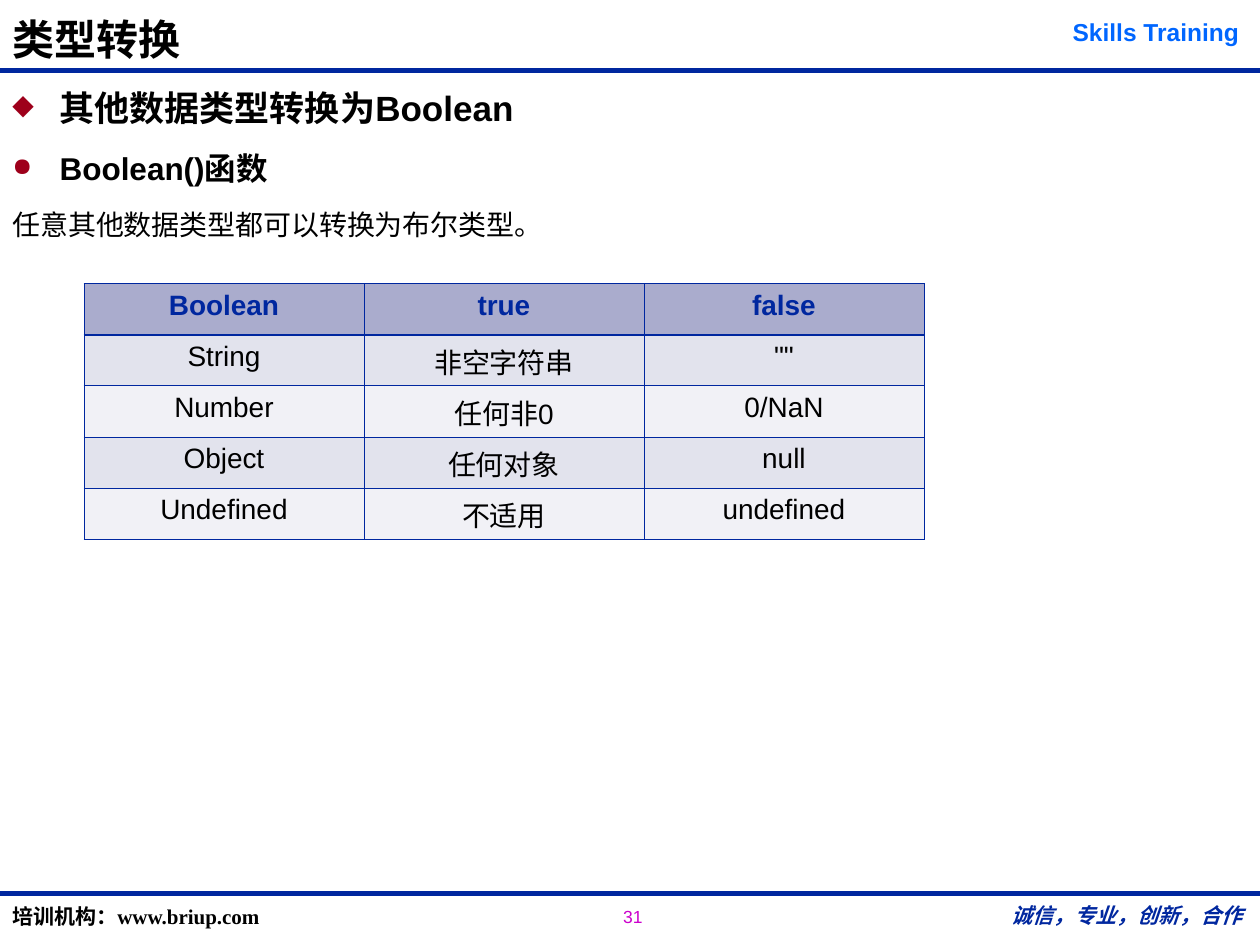
from lxml import etree
from pptx import Presentation
from pptx.dml.color import RGBColor
from pptx.enum.shapes import MSO_CONNECTOR
from pptx.enum.text import MSO_ANCHOR as ANCHOR, PP_ALIGN as ALIGN
from pptx.oxml.ns import qn
from pptx.util import Pt

NAVY = RGBColor(0x00, 0x27, 0x9F)
SKY = RGBColor(0x00, 0x66, 0xFF)
MAGENTA = RGBColor(0xCC, 0x00, 0xCC)
CRIMSON = RGBColor(0x9E, 0x00, 0x1B)
BLACK = RGBColor(0x00, 0x00, 0x00)
HEADER_FILL = RGBColor(0xAA, 0xAC, 0xCD)
BAND_FILLS = (RGBColor(0xE2, 0xE3, 0xED), RGBColor(0xF1, 0xF1, 0xF6))

LATIN, SERIF, CJK = "Arial", "Times New Roman", "Noto Sans CJK SC"
WIDTH, HEIGHT = 720, 540

BULLETS = [  # text, size, bold, bullet
    ("其他数据类型转换为Boolean", 20, True, "◆"),
    ("Boolean()函数", 18, True, "●"),
    ("任意其他数据类型都可以转换为布尔类型。", 16, False, None),
]
ROWS = [
    ("Boolean", "true", "false"),
    ("String", "非空字符串", '""'),
    ("Number", "任何非0", "0/NaN"),
    ("Object", "任何对象", "null"),
    ("Undefined", "不适用", "undefined"),
]


def style(p, size, color=BLACK, bold=False, italic=False, font=LATIN):
    for r in p.runs:
        f = r.font
        f.size, f.bold, f.italic, f.name = Pt(size), bold, italic, font
        f.color.rgb = color
        ea = etree.SubElement(r._r.get_or_add_rPr(), qn("a:ea"))
        ea.set("typeface", CJK)


def add_box(s, box, anchor=ANCHOR.TOP, wrap=True):
    tf = s.shapes.add_textbox(*map(Pt, box)).text_frame
    tf.word_wrap, tf.vertical_anchor = wrap, anchor
    return tf


def add_label(s, box, text, size, align=ALIGN.LEFT, anchor=ANCHOR.TOP,
              wrap=True, **look):
    p = add_box(s, box, anchor, wrap).paragraphs[0]
    p.text, p.alignment = text, align
    style(p, size, **look)
    return p


def add_rule(s, y):
    line = s.shapes.add_connector(MSO_CONNECTOR.STRAIGHT, 0, Pt(y), Pt(WIDTH), Pt(y))
    line.line.color.rgb, line.line.width = NAVY, Pt(2.75)
    etree.SubElement(line._element.spPr, qn("a:effectLst"))


def add_bullet(p, char):
    pPr = p._p.get_or_add_pPr()
    pPr.set("marL", str(Pt(27)))
    pPr.set("indent", str(Pt(-27)))
    if not char:
        etree.SubElement(pPr, qn("a:buNone"))
        return
    clr = etree.SubElement(pPr, qn("a:buClr"))
    etree.SubElement(clr, qn("a:srgbClr")).set("val", str(CRIMSON))
    etree.SubElement(pPr, qn("a:buSzPct")).set("val", "80000")
    etree.SubElement(pPr, qn("a:buChar")).set("char", char)


def set_border(cell, side, width):
    ln = etree.SubElement(cell._tc.get_or_add_tcPr(), qn("a:ln" + side))
    ln.set("w", str(Pt(width)))
    fill = etree.SubElement(ln, qn("a:solidFill"))
    etree.SubElement(fill, qn("a:srgbClr")).set("val", str(NAVY))


def build_header(s, x, y, w, h):
    title = add_label(s, (x, y, 600, h), "类型转换", 24, anchor=ANCHOR.BOTTOM,
                      bold=True, font=CJK)
    title.line_spacing = 0.87
    add_label(s, (x + w - 117, y + 6, 115, 24), "Skills Training", 14, ALIGN.CENTER,
              color=SKY, bold=True)
    add_rule(s, y + h)


def build_body(s, *box):
    tf = add_box(s, box)
    for i, (text, size, bold, char) in enumerate(BULLETS):
        p = tf.add_paragraph() if i else tf.paragraphs[0]
        p.text = text
        add_bullet(p, char)
        p.space_before = Pt(5.9 if i else 0)
        p.space_after = Pt(5.9)
        style(p, size, bold=bold)


def build_table(s, x, y, w, h):
    n_rows, n_cols = len(ROWS), len(ROWS[0])
    table = s.shapes.add_table(n_rows, n_cols, *map(Pt, (x, y, w, h))).table
    for col in table.columns:
        col.width = Pt(w / n_cols)
    for i, values in enumerate(ROWS):
        table.rows[i].height = Pt(h / n_rows)
        head = i == 0
        for j, value in enumerate(values):
            cell = table.cell(i, j)
            p = cell.text_frame.paragraphs[0]
            p.text, p.alignment = value, ALIGN.CENTER
            style(p, 16, NAVY if head else BLACK, bold=head)
            # Heavier line between the header and the first data row
            for side in "LRTB":
                heavy = (i, side) in ((0, "B"), (1, "T"))
                set_border(cell, side, 1.47 if heavy else 0.45)
            cell.fill.solid()
            cell.fill.fore_color.rgb = HEADER_FILL if head else BAND_FILLS[(i - 1) % 2]


def build_footer(s, x, y, w, h):
    add_rule(s, y)
    add_label(s, (x, y + 2, 318, 22), "培训机构：www.briup.com", 12,
              bold=True, font=SERIF)
    add_label(s, (x + 349, y + 3.5, 60, 19), "31", 10, wrap=False, color=MAGENTA)
    add_label(s, (x + w - 153, y, 154, h - 5), "诚信，专业，创新，合作", 12,
              ALIGN.CENTER, ANCHOR.MIDDLE, color=NAVY, bold=True, italic=True, font=SERIF)


def main():
    prs = Presentation()
    prs.slide_width, prs.slide_height = Pt(WIDTH), Pt(HEIGHT)
    s = prs.slides.add_slide(prs.slide_layouts[6])
    build_header(s, 0, 0, WIDTH, 40.5)
    build_body(s, 0, 46, WIDTH, 459)
    build_table(s, 48, 162, 480, 146.25)
    build_footer(s, 0, 510.5, WIDTH, 29.5)
    prs.save("out.pptx")


if __name__ == "__main__":
    main()
